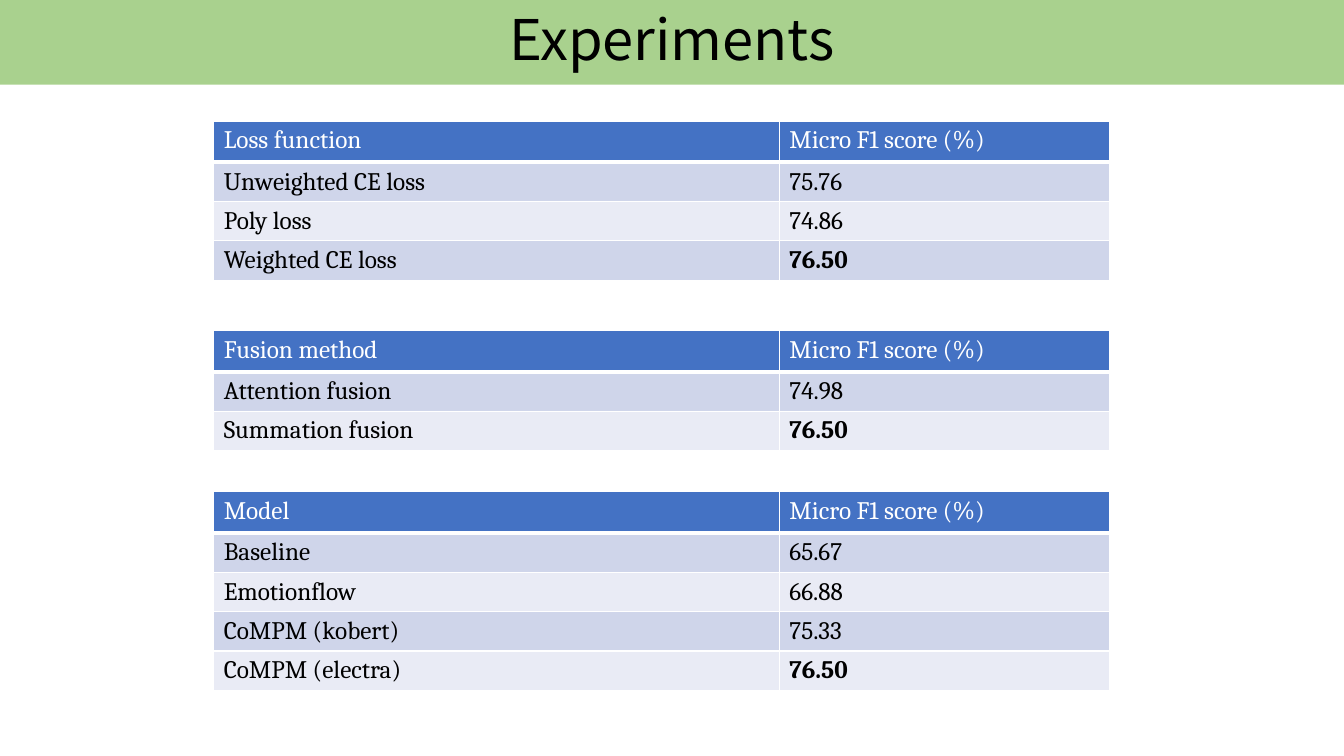
from lxml import etree
from pptx import Presentation
from pptx.dml.color import RGBColor
from pptx.enum import shapes, text
from pptx.oxml import ns
from pptx.util import Inches, Pt

GREEN = RGBColor(0xA9, 0xD1, 0x8E)
BLUE = RGBColor(0x44, 0x72, 0xC4)
BANDS = [RGBColor(0xE9, 0xEB, 0xF5), RGBColor(0xCF, 0xD5, 0xEA)]
WHITE = RGBColor(0xFF, 0xFF, 0xFF)
BLACK = RGBColor(0, 0, 0)

SCORE = "Micro F1 score (%)"
BEST = "76.50"
TABLES = [
    (1.2, [("Loss function", SCORE),
           ("Unweighted CE loss", "75.76"),
           ("Poly loss", "74.86"),
           ("Weighted CE loss", BEST)]),
    (3.28, [("Fusion method", SCORE),
            ("Attention fusion", "74.98"),
            ("Summation fusion", BEST)]),
    (4.88, [("Model", SCORE),
            ("Baseline", "65.67"),
            ("Emotionflow", "66.88"),
            ("CoMPM (kobert)", "75.33"),
            ("CoMPM (electra)", BEST)]),
]
COLUMN_WIDTHS = [5.61, 3.28]
HEADER_HEIGHT, ROW_HEIGHT = 0.41, 0.39


def write(para, words, **font):
    span = para.add_run()
    span.text = words
    span.font.color.rgb = font.pop("color")
    for name, value in font.items():
        setattr(span.font, name, value)


def set_borders(cell, widths):
    """Draw white cell borders; widths maps each side (L, R, T, B) to points."""
    properties = cell._tc.get_or_add_tcPr()
    for index, (side, width) in enumerate(widths.items()):
        line = etree.Element(ns.qn(f"a:ln{side}"), w=str(Pt(width)))
        fill = etree.SubElement(line, ns.qn("a:solidFill"))
        etree.SubElement(fill, ns.qn("a:srgbClr"), val=str(WHITE))
        properties.insert(index, line)


deck = Presentation()
deck.slide_width, deck.slide_height = Inches(13.33), Inches(7.5)
page = deck.slides.add_slide(deck.slide_layouts[6])

banner = page.shapes.add_shape(
    shapes.MSO_SHAPE.RECTANGLE, 0, 0, deck.slide_width, Inches(0.84))
banner.shadow.inherit = False
banner.fill.solid()
banner.fill.fore_color.rgb = GREEN
banner.line.fill.background()
banner.text_frame.vertical_anchor = text.MSO_ANCHOR.MIDDLE
title = banner.text_frame.paragraphs[0]
title.alignment = text.PP_ALIGN.CENTER
title.line_spacing = 0.9
write(title, "Experiments", name="Noto Sans CJK KR", size=Pt(40), color=BLACK)

for top, rows in TABLES:
    height = HEADER_HEIGHT + ROW_HEIGHT * (len(rows) - 1)
    table = page.shapes.add_table(
        len(rows), len(COLUMN_WIDTHS), Inches(2.12), Inches(top),
        Inches(sum(COLUMN_WIDTHS)), Inches(height)).table
    for column, width in zip(table.columns, COLUMN_WIDTHS):
        column.width = Inches(width)
    for r, values in enumerate(rows):
        header = r == 0
        table.rows[r].height = Inches(HEADER_HEIGHT if header else ROW_HEIGHT)
        for c, value in enumerate(values):
            cell = table.cell(r, c)
            cell.fill.solid()
            cell.fill.fore_color.rgb = BLUE if header else BANDS[r % 2]
            set_borders(cell, {"L": 1, "R": 1, "T": 3 if r == 1 else 1,
                               "B": 3 if header else 1})
            para = cell.text_frame.paragraphs[0]
            para.alignment = text.PP_ALIGN.JUSTIFY
            write(para, value, name="Cambria", size=Pt(18),
                  bold=value == BEST, color=WHITE if header else BLACK)

deck.save("out.pptx")
